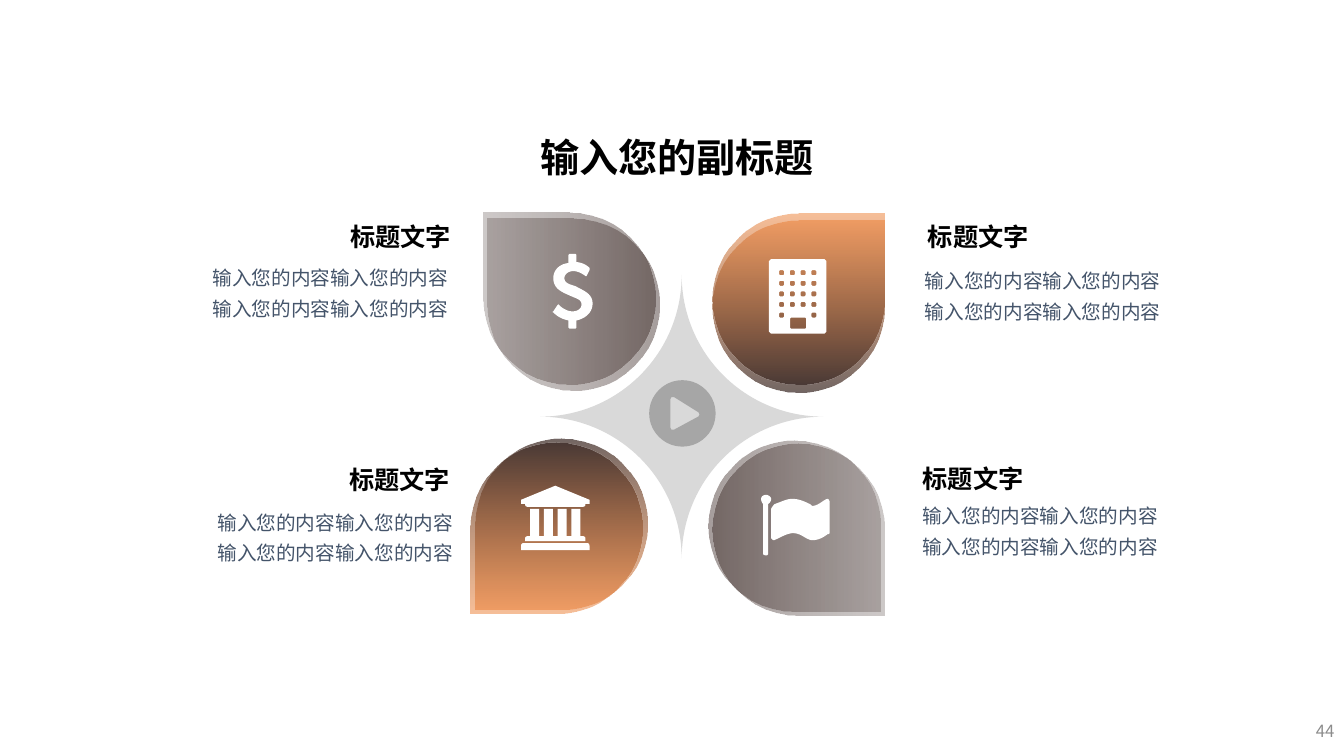
from lxml import etree
from pptx import Presentation
from pptx.dml.color import RGBColor
from pptx.enum import shapes as kinds, text as modes
from pptx.oxml import ns, parse_xml
from pptx.util import Cm, Pt

FONT = "Noto Sans CJK SC"
HUES = {"black": "000000", "white": "FFFFFF", "slate": "44546A", "page": "8C8C8C",
        "star": "D9D9D9", "play": "A6A6A6",
        "brown": "4C3C39", "dark": "392723", "orange": "ED7D31"}
# Gradient stops: colour and opacity in percent
FADES = {"grey": [("brown", 28), ("dark", 45)], "warm": [("orange", 50), ("dark", 71)]}
GRID = 2.54 / 100  # icon grid unit in cm
DROP = 4.32
HEAD = "标题文字"
BODY = "输入您的内容" * 4

# Fade, rotation, back corner, front corner
PETALS = [
    ("grey", 270, (12.29, 5.51), (12.19, 5.36)),
    ("warm", 0, (17.96, 5.56), (17.96, 5.38)),
    ("warm", 180, (11.99, 11.05), (11.86, 11.15)),
    ("grey", 90, (17.86, 11.1), (17.96, 11.18)),
]
# Heading corner, body corner, body width, body alignment
NOTES = [
    ((8.81, 5.59), (4.72, 6.4), 6.83, "right"),
    ((23.37, 5.59), (23.06, 6.48), 6.65, "left"),
    ((8.79, 11.71), (5.23, 12.57), 6.83, "left"),
    ((23.24, 11.68), (22.99, 12.4), 6.73, "left"),
]
ALIGN = {"left": modes.PP_ALIGN.LEFT, "right": modes.PP_ALIGN.RIGHT,
         "center": modes.PP_ALIGN.CENTER}


def tint(name):
    return RGBColor.from_string(HUES[name])


def write(frame, words, size=14, hue="black", bold=False, align="left",
          space=None, wrap=True, inset=None, middle=False):
    frame.auto_size = modes.MSO_AUTO_SIZE.NONE
    frame.word_wrap = wrap
    frame.vertical_anchor = modes.MSO_ANCHOR.MIDDLE if middle else modes.MSO_ANCHOR.TOP
    if inset is not None:
        frame.margin_left = frame.margin_right = Cm(inset)
        frame.margin_top = frame.margin_bottom = Cm(inset)
    para = frame.paragraphs[0]
    para.alignment = ALIGN[align]
    para.line_spacing = space
    run = para.add_run()
    run.text = words
    font = run.font
    font.size, font.bold, font.name = Pt(size), bold, FONT
    font.color.rgb = tint(hue)
    etree.SubElement(run._r.rPr, ns.qn("a:ea"), typeface=FONT)


def label(slide, words, x, y, w, h, **form):
    box = slide.shapes.add_textbox(Cm(x), Cm(y), Cm(w), Cm(h))
    write(box.text_frame, words, **form)


def paint(shape, hue):
    shape.shadow.inherit = False
    shape.fill.solid()
    shape.fill.fore_color.rgb = tint(hue)
    shape.line.fill.background()


def fade(shape, stops):
    """Fill with a see-through gradient that turns with the shape."""
    paint(shape, "white")
    marks = "".join(
        f'<a:gs pos="{i * 100000}"><a:srgbClr val="{HUES[hue]}">'
        f'<a:alpha val="{alpha * 1000}"/></a:srgbClr></a:gs>'
        for i, (hue, alpha) in enumerate(stops))
    grad = parse_xml(f'<a:gradFill {ns.nsdecls("a")} rotWithShape="1"><a:gsLst>{marks}'
                     '</a:gsLst><a:lin ang="5400000" scaled="0"/></a:gradFill>')
    props = shape._element.spPr
    props.replace(props.find(ns.qn("a:solidFill")), grad)


def petal(slide, kind, turn, *spots):
    for x, y in spots:
        drop = slide.shapes.add_shape(kinds.MSO_SHAPE.TEAR, Cm(x), Cm(y), Cm(DROP), Cm(DROP))
        drop.rotation = turn
        fade(drop, FADES[kind])


def bend(*steps, parts=10):
    """Turn points (x, y) and cubic curves (x1, y1, x2, y2, x, y) into points."""
    dots = []
    for step in steps:
        if len(step) == 2:
            dots.append(step)
            continue
        knots = [dots[-1], step[:2], step[2:4], step[4:]]
        for i in range(1, parts + 1):
            t = i / parts
            rates = ((1 - t) ** 3, 3 * t * (1 - t) ** 2, 3 * t * t * (1 - t), t ** 3)
            dots.append(tuple(sum(r * k[axis] for r, k in zip(rates, knots))
                              for axis in (0, 1)))
    return dots


def block(x, y, w, h, r=0):
    """Rectangle with corners cut by r."""
    a, b = x + w, y + h
    return [(x + r, y), (a - r, y), (a, y + r), (a, b - r),
            (a - r, b), (x + r, b), (x, b - r), (x, y + r)]


def disc(r):
    k = r * 0.45
    d = 2 * r
    return bend((r, 0), (d - k, 0, d, k, d, r), (d, d - k, d - k, d, r, d),
                (k, d, 0, d - k, 0, r), (0, k, k, 0, r, 0))


def icon(slide, x, y, loops, hue="white"):
    place = [[(Cm(x + a * GRID), Cm(y + b * GRID)) for a, b in loop] for loop in loops]
    pen = slide.shapes.build_freeform(*place[0][0], scale=1)
    for i, loop in enumerate(place):
        if i:
            pen.move_to(*loop[0])
        pen.add_line_segments(loop[1:], close=True)
    paint(pen.convert_to_shape(), hue)


def play():
    return [disc(33), [(21, 19), (22, 17), (25, 17), (49, 32), (50, 34), (49, 36),
                       (25, 49), (22, 49), (21, 47)]]


def dollar():
    return [bend(
        (24, 66), (24, 73), (23, 74), (17, 74), (16, 73), (16, 66),
        (6, 64, 1, 58, 1, 58), (0, 58, 0, 57, 1, 57), (5, 51), (6, 50), (7, 51),
        (7, 51, 13, 57, 20, 57), (24, 57, 29, 55, 29, 50), (29, 45, 23, 44, 19, 42),
        (10, 38, 1, 35, 1, 24), (1, 16, 7, 10, 16, 9), (16, 1), (17, 0), (23, 0),
        (24, 1), (24, 8), (33, 9, 37, 14, 37, 14), (37, 16), (34, 22), (33, 22),
        (33, 22, 27, 17, 21, 17), (15, 17, 12, 21, 12, 24), (12, 29, 17, 30, 23, 32),
        (30, 36, 40, 39, 40, 49), (40, 58, 33, 64, 24, 66))]


def bank():
    roof = bend((68, 14), (68, 18), (64, 18), (64, 20, 63, 21, 61, 21), (7, 21),
                (5, 21, 4, 20, 4, 18), (0, 18), (0, 14), (34, 0))
    base = bend((68, 60), (68, 64), (0, 64), (0, 60), (0, 58, 1, 57, 2, 57), (66, 57),
                (67, 57, 68, 58, 68, 60))
    plate = bend((64, 53), (64, 55), (4, 55), (4, 53), (4, 51, 5, 50, 7, 50), (61, 50),
                 (63, 50, 64, 51, 64, 53))
    return [roof, base, plate] + [block(9 + 13.67 * i, 23, 9, 27) for i in range(4)]


def tower():
    door = block(21, 58, 16, 11, 1)
    panes = [block(10 + 10.67 * col, 11 + 10.5 * row, 5, 5, 1)
             for row in range(5) for col in range(4) if row < 4 or col in (0, 3)]
    return [block(0, 0, 57, 74, 2), door] + panes


def flag():
    pole = bend((7, 9), (7, 59), (6, 60), (4, 60), (2, 59), (2, 9), (1, 8, 0, 6, 0, 4),
                (0, 2, 2, 0, 5, 0), (7, 0, 10, 2, 10, 4), (10, 6, 9, 8, 7, 9))
    cloth = bend((68, 37), (68, 38, 68, 39, 66, 39), (61, 43, 56, 45, 51, 45),
                 (45, 45, 40, 38, 32, 38), (26, 38, 20, 42, 13, 45), (12, 45), (10, 43),
                 (10, 14), (11, 12), (12, 11, 13, 9, 14, 9), (20, 7, 25, 4, 31, 4),
                 (37, 4, 42, 6, 48, 9), (49, 9, 50, 11, 51, 11), (57, 11, 63, 4, 66, 4),
                 (67, 4, 68, 6, 68, 7))
    return [pole, cloth]


def main():
    deck = Presentation()
    deck.slide_width, deck.slide_height = Cm(33.87), Cm(19.05)
    slide = deck.slides.add_slide(deck.slide_layouts[5])

    title = slide.shapes.title
    title.left, title.top, title.width, title.height = Cm(13.61), Cm(3.35), Cm(6.99), Cm(1.19)
    write(title.text_frame, "输入您的副标题", size=28, bold=True, wrap=False,
          inset=0, middle=True)

    star = slide.shapes.add_shape(kinds.MSO_SHAPE.PLAQUE, Cm(13.61), Cm(6.93), Cm(7.14), Cm(7.14))
    star.adjustments[0] = 0.5
    paint(star, "star")
    for row in PETALS:
        petal(slide, *row)

    for head, body, width, align in NOTES:
        label(slide, BODY, *body, width, 1.73, hue="slate", align=align, space=1.3)
        label(slide, HEAD, *head, 2.57, 0.76, size=18, bold=True, align="center",
              wrap=False, inset=0)

    icon(slide, 16.36, 9.58, play(), "play")
    icon(slide, 13.92, 6.4, dollar())
    icon(slide, 13.13, 12.24, bank())
    icon(slide, 19.38, 6.53, tower())
    icon(slide, 19.18, 12.47, flag())
    label(slide, "44", 32.51, 17.91, 1.37, 1.02, size=12, hue="page", align="right", middle=True)
    deck.save("out.pptx")


if __name__ == "__main__":
    main()
